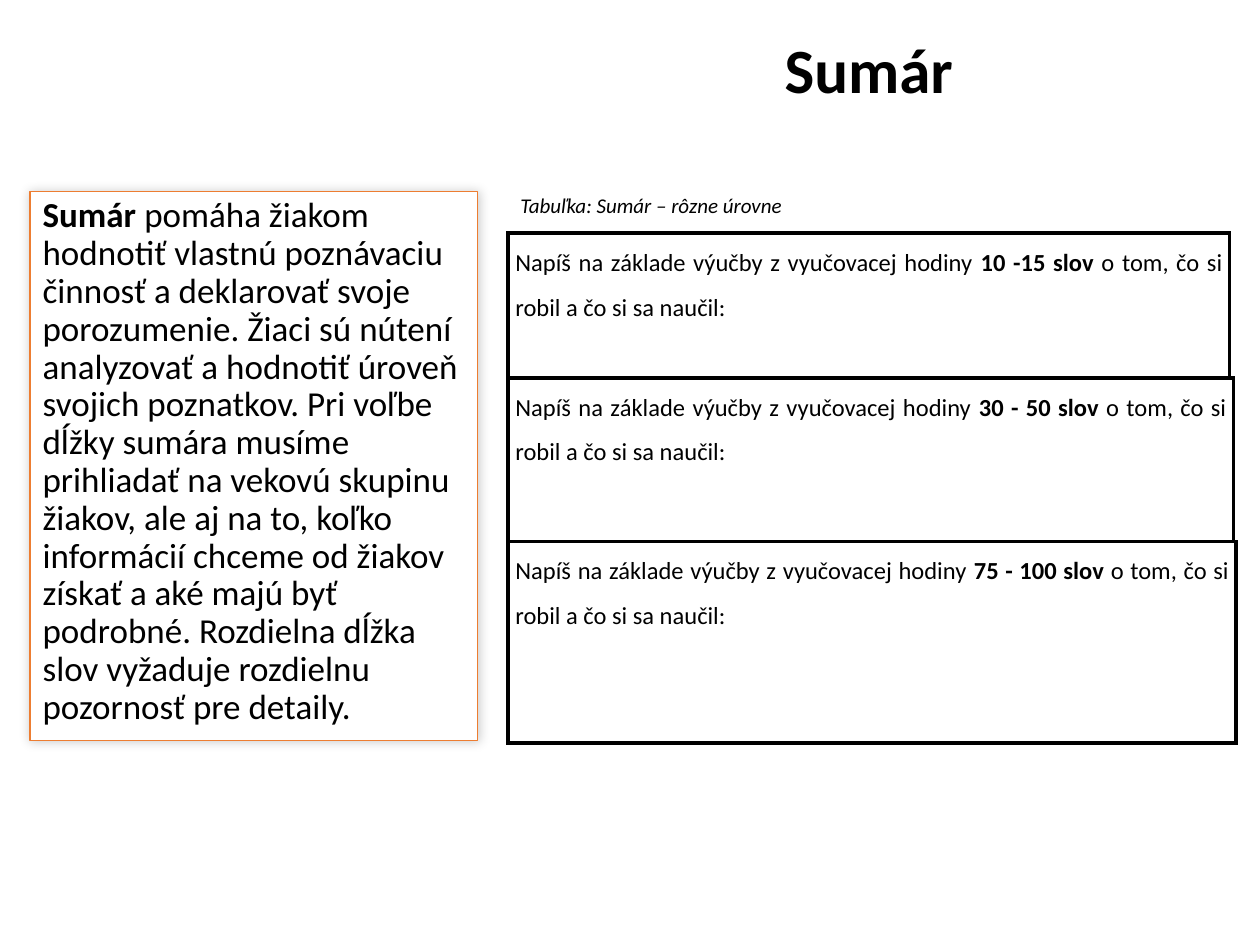
from lxml.etree import SubElement
from pptx import Presentation
from pptx.dml.color import RGBColor
from pptx.enum.shapes import MSO_SHAPE as Shape
from pptx.enum.text import MSO_ANCHOR as Anchor, PP_ALIGN as Align
from pptx.oxml import parse_xml
from pptx.oxml.ns import nsdecls, qn
from pptx.util import Cm, Pt

BLACK = RGBColor(0, 0, 0)
WHITE = RGBColor(255, 255, 255)
ORANGE = RGBColor(0xED, 0x7D, 0x31)


class SlideBuilder:
    font = "Calibri"
    border = Pt(2.25)

    def __init__(self, slide):
        self.slide = slide

    def add_text(self, frame, runs, size, align=Align.LEFT, spacing=1.0, italic=False):
        """Fill the first paragraph with (text, bold) runs."""
        frame.word_wrap = True
        paragraph = frame.paragraphs[0]
        paragraph.alignment = align
        paragraph.line_spacing = spacing
        paragraph.space_before = Pt(0)
        for text, bold in runs:
            run = paragraph.add_run()
            run.text = text
            run.font.name = self.font
            run.font.size = Pt(size)
            run.font.bold = bold
            run.font.italic = italic
            run.font.color.rgb = BLACK

    def title(self, text, left, top, width, height):
        heading = self.slide.shapes.title
        heading.left, heading.top = Cm(left), Cm(top)
        heading.width, heading.height = Cm(width), Cm(height)
        heading.text_frame.vertical_anchor = Anchor.MIDDLE
        self.add_text(heading.text_frame, [(text, True)], 36, Align.CENTER, 0.9)

    def caption(self, text, left, top, width, height):
        box = self.slide.shapes.add_textbox(Cm(left), Cm(top), Cm(width), Cm(height))
        self.add_text(box.text_frame, [(text, False)], 12, italic=True)

    def panel(self, runs, left, top, width, height):
        box = self.slide.shapes.add_shape(
            Shape.RECTANGLE, Cm(left), Cm(top), Cm(width), Cm(height))
        box.fill.solid()
        box.fill.fore_color.rgb = WHITE
        box.line.color.rgb = ORANGE
        box.line.width = Pt(1)
        # Soft glow-like shadow around the panel
        box.shadow.inherit = False
        effects = box._element.spPr.find(qn("a:effectLst"))
        effects.append(parse_xml(
            f'<a:outerShdw {nsdecls("a")} blurRad="{Pt(6)}" dist="0" dir="13500000">'
            '<a:srgbClr val="000000"><a:alpha val="20000"/></a:srgbClr></a:outerShdw>'))
        box.text_frame.vertical_anchor = Anchor.TOP
        self.add_text(box.text_frame, runs, 20, spacing=0.9)

    def framed_table(self, runs, left, top, width, height):
        table = self.slide.shapes.add_table(
            1, 1, Cm(left), Cm(top), Cm(width), Cm(height)).table
        table.first_row = table.horz_banding = False
        cell = table.cell(0, 0)
        cell.margin_left = cell.margin_right = Cm(0.15)
        cell.margin_top = cell.margin_bottom = 0
        properties = cell._tc.get_or_add_tcPr()
        for side in ("a:lnL", "a:lnR", "a:lnT", "a:lnB"):
            line = SubElement(properties, qn(side), w=str(self.border))
            fill = SubElement(line, qn("a:solidFill"))
            SubElement(fill, qn("a:srgbClr"), val=str(BLACK))
        cell.fill.solid()
        cell.fill.fore_color.rgb = WHITE
        self.add_text(cell.text_frame, runs, 14, Align.JUSTIFY, 1.5)


def main():
    deck = Presentation()
    deck.slide_width, deck.slide_height = Cm(25.4), Cm(19.05)
    summary = SlideBuilder(deck.slides.add_slide(deck.slide_layouts[5]))

    # Heading and table caption
    summary.title("Sumár", 9.63, 0.56, 15.77, 1.83)
    summary.caption("Tabuľka: Sumár – rôzne úrovne", 10.24, 3.76, 13.28, 0.76)

    # Explanation on the left
    summary.panel([
        ("Sumár ", True),
        ("pomáha žiakom hodnotiť vlastnú poznávaciu činnosť a deklarovať svoje "
         "porozumenie. Žiaci sú nútení analyzovať a hodnotiť úroveň svojich "
         "poznatkov. Pri voľbe dĺžky sumára musíme prihliadať na vekovú skupinu "
         "žiakov, ale aj na to, koľko informácií chceme od žiakov získať "
         "a aké majú byť podrobné. Rozdielna dĺžka slov vyžaduje rozdielnu "
         "pozornosť pre detaily.", False),
    ], 0.61, 3.86, 9.02, 11.07)

    # Stacked tasks, one per summary length
    levels = [
        ("10 -15 slov", 14.55, 2.92),
        ("30 - 50 slov", 14.63, 3.3),
        ("75 - 100 slov", 14.68, 4.06),
    ]
    top = 4.7
    for word_count, width, height in levels:
        summary.framed_table([
            ("Napíš na základe výučby z vyučovacej hodiny ", False),
            (word_count, True),
            (" o tom, čo si robil a čo si sa naučil:", False),
        ], 10.24, top, width, height)
        top += height

    deck.save("out.pptx")


if __name__ == "__main__":
    main()
